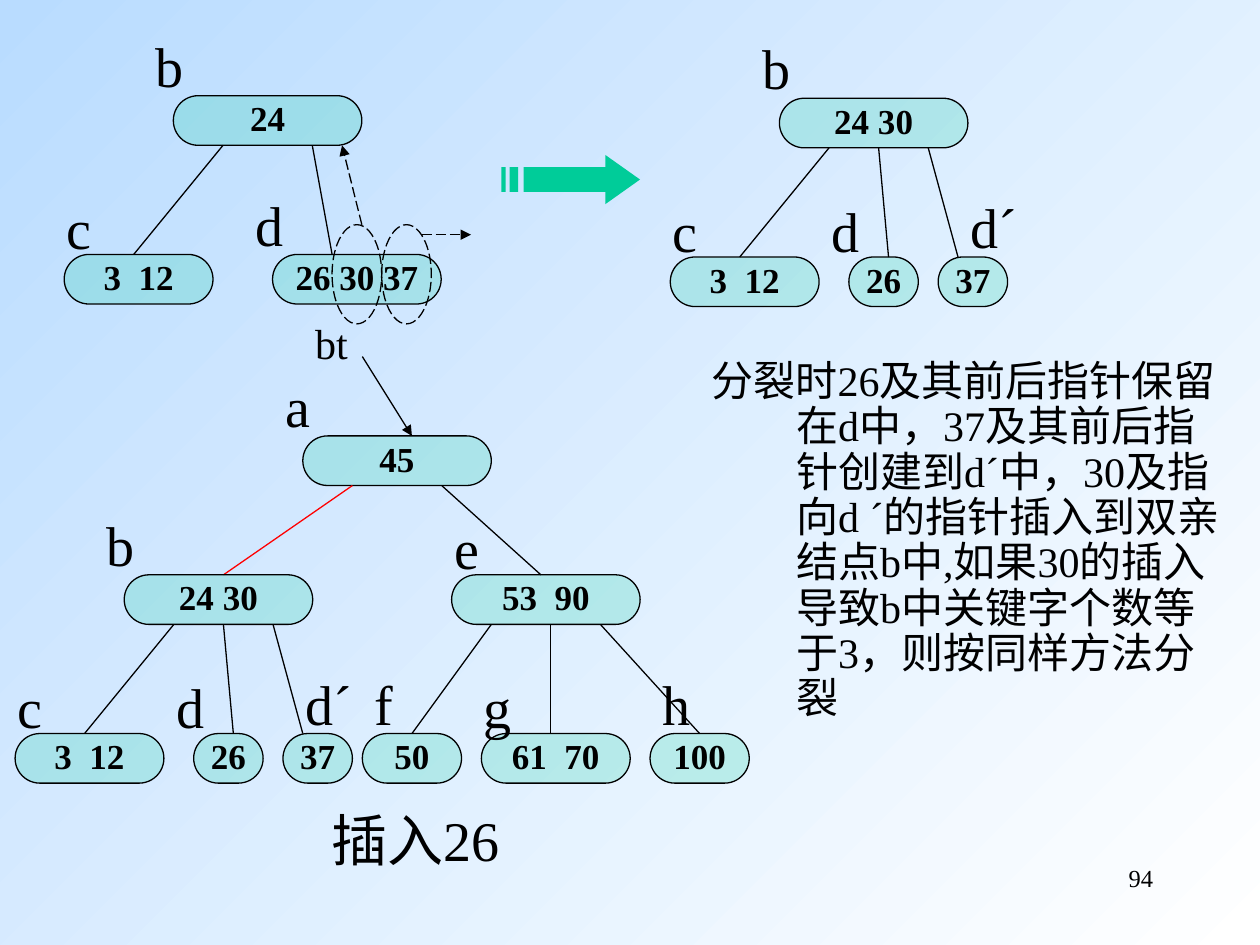
from dataclasses import dataclass
from typing import Any

from lxml.etree import SubElement
from pptx import Presentation
from pptx.dml.color import RGBColor
from pptx.enum.dml import MSO_LINE
from pptx.enum.shapes import MSO_CONNECTOR, MSO_SHAPE
from pptx.enum.text import MSO_ANCHOR, MSO_AUTO_SIZE, PP_ALIGN
from pptx.oxml.ns import qn
from pptx.util import Inches, Mm, Pt

COLORS = {"ink": "000000", "path": "FF0000", "node": "00CC99",
          "sky": "B9DCFF", "white": "FFFFFF"}
FONT = "Times New Roman"
CELL = Mm(2)  # every tree is laid out on a 2 mm grid
NODE_ROWS = 5
LEVEL = 16    # rows from a parent's top to its leaves' top
NEAR, HIGH = 6, 6.35  # rows from a label's top to its node's top


@dataclass
class Grid:
    """A 2 mm grid on a group of shapes, counted from a top left corner."""
    shapes: Any
    left: int
    top: int

    def at(self, col, row):
        return self.left + round(col * CELL), self.top + round(row * CELL)

    def sub(self, col, row):
        return Grid(self.shapes, *self.at(col, row))


def rgb(name):
    return RGBColor.from_string(COLORS[name])


def write(shape, text, size, align=PP_ALIGN.LEFT, bold=False):
    frame = shape.text_frame
    frame.text = text
    paragraph = frame.paragraphs[0]
    paragraph.alignment = align
    paragraph.line_spacing = 0.9
    font = paragraph.runs[0].font
    font.name, font.size, font.bold = FONT, Pt(size), bold
    font.color.rgb = rgb("ink")
    return paragraph


def add_text(shapes, box, text, size, align=PP_ALIGN.LEFT):
    holder = shapes.add_textbox(*box)
    holder.text_frame.word_wrap = True
    return write(holder, text, size, align)


def outline(line, color="ink", dashed=False):
    line.color.rgb = rgb(color)
    line.width = Pt(0.75)
    if dashed:
        line.dash_style = MSO_LINE.LONG_DASH


def add_node(grid, col, row, cols, keys):
    node = grid.shapes.add_shape(MSO_SHAPE.ROUNDED_RECTANGLE, *grid.at(col, row),
                                 cols * CELL, NODE_ROWS * CELL)
    node.adjustments[0] = 0.5
    node.shadow.inherit = False
    node.fill.solid()
    node.fill.fore_color.rgb = rgb("node")
    tint = node.fill._xPr.find(".//" + qn("a:srgbClr"))
    SubElement(tint, qn("a:alpha")).set("val", "20000")
    outline(node.line)
    node.text_frame.word_wrap = False
    node.text_frame.vertical_anchor = MSO_ANCHOR.MIDDLE
    write(node, keys, 20, PP_ALIGN.CENTER, bold=True)


def add_label(grid, col, row, name, cols=5, size=32):
    add_text(grid.shapes, (*grid.at(col, row), cols * CELL, Inches(size / 55)), name, size)


def add_edge(grid, start, end, color="ink", dashed=False, arrow=False):
    edge = grid.shapes.add_connector(MSO_CONNECTOR.STRAIGHT, *grid.at(*start), *grid.at(*end))
    outline(edge.line, color, dashed)
    if arrow:
        SubElement(edge.line._get_or_add_ln(), qn("a:tailEnd")).set("type", "triangle")
    SubElement(edge._element.spPr, qn("a:effectLst"))


def add_branches(grid, pairs, level=LEVEL):
    """Join a parent in the top row to its children, by (start, end) columns."""
    for start, end in pairs:
        add_edge(grid, (start, NODE_ROWS), (end, level))


def add_ring(grid, col, row):
    ring = grid.shapes.add_shape(MSO_SHAPE.OVAL, *grid.at(col, row), 5 * CELL, 10 * CELL)
    ring.shadow.inherit = False
    ring.fill.background()
    outline(ring.line, dashed=True)


def draw_overfull_tree(grid):
    """Node d holds three keys: 30 moves up to b and 37 moves out."""
    add_node(grid, 11, 0, 19, "24")
    add_node(grid, 0, LEVEL, 15, "3  12")
    add_node(grid, 21, LEVEL, 17, "26 30 37")
    add_label(grid, 8, -HIGH, "b")
    add_label(grid, -1, LEVEL - NEAR, "c")
    add_label(grid, 18, LEVEL - HIGH, "d")
    add_branches(grid, [(16, 7), (25, 27)])
    for col in (27, 32):
        add_ring(grid, col, LEVEL - 3)
    add_edge(grid, (30, LEVEL - 3), (28, NODE_ROWS), dashed=True, arrow=True)
    add_edge(grid, (36, LEVEL - 2), (41, LEVEL - 2), dashed=True, arrow=True)


def draw_split_tree(grid, prime_col):
    """Node b over c, d and d´, once d has been split."""
    add_node(grid, 11, 0, 19, "24 30")
    for col, cols, keys in [(0, 15, "3  12"), (18, 7, "26"), (27, 7, "37")]:
        add_node(grid, col, LEVEL, cols, keys)
    add_label(grid, 8, -HIGH, "b")
    add_label(grid, -1, LEVEL - NEAR, "c")
    add_label(grid, 15, LEVEL - NEAR, "d")
    add_label(grid, prime_col, LEVEL - HIGH, "d´", cols=10)
    add_branches(grid, [(16, 7), (21, 22), (26, 29)])


def draw_right_subtree(grid):
    """Node e over f, g and h."""
    add_node(grid, 9, 0, 19, "53  90")
    add_label(grid, 8, -NEAR, "e")
    for col, cols, keys, label_col, lift, name in [
            (0, 10, "50", 0, HIGH, "f"),
            (12, 15, "61  70", 11, NEAR, "g"),
            (29, 10, "100", 29, HIGH, "h")]:
        add_node(grid, col, LEVEL, cols, keys)
        add_label(grid, label_col, LEVEL - lift, name)
    add_branches(grid, [(13, 5), (19, 19), (24, 34)])


def draw_whole_tree(grid):
    inner = 14  # row of the nodes under the root
    add_node(grid, 29, 0, 19, "45")
    add_label(grid, 26, -HIGH, "a")
    add_label(grid, 29, -12, "bt", cols=8, size=24)
    add_edge(grid, (35, -8), (40, 0), arrow=True)
    add_edge(grid, (34, NODE_ROWS), (21, inner), color="path")
    add_branches(grid, [(43, 53)], inner)
    draw_split_tree(grid.sub(0, inner), prime_col=28)
    draw_right_subtree(grid.sub(35, inner))


def draw_step_arrow(shapes, left, top, width, height):
    def place(points):
        return [(left + round(x * width), top + round(y * height)) for x, y in points]

    def bar(start, end):
        return place([(start, 0.25), (start, 0.75), (end, 0.75), (end, 0.25)])

    head = place([(0.75, 0), (0.75, 0.25), (0.16, 0.25), (0.16, 0.75),
                  (0.75, 0.75), (0.75, 1), (1, 0.5)])
    builder = shapes.build_freeform(*head[0])
    builder.add_line_segments(head[1:], close=True)
    for stripe in (bar(0.06, 0.12), bar(0, 0.03)):
        builder.move_to(*stripe[0])
        builder.add_line_segments(stripe[1:], close=True)
    arrow = builder.convert_to_shape()
    arrow.shadow.inherit = False
    arrow.fill.solid()
    arrow.fill.fore_color.rgb = rgb("node")
    arrow.line.fill.background()


def draw_explanation(shapes, box):
    paragraph = add_text(shapes, box, "分裂时26及其前后指针保留在d中，37及其前后指针创建到d´中，"
                         "30及指向d ´的指针插入到双亲结点b中,如果30的插入导致b中"
                         "关键字个数等于3，则按同样方法分裂", 24)
    hang = Inches(0.67)
    properties = paragraph._p.get_or_add_pPr()
    properties.set("marL", str(hang))
    properties.set("indent", str(-hang))


def paint_background(slide):
    fill = slide.background.fill
    fill.gradient()
    fill.gradient_angle = 315
    for stop, name in zip(fill.gradient_stops, ("sky", "white")):
        stop.color.rgb = rgb(name)


def main():
    deck = Presentation()
    deck.slide_width, deck.slide_height = Inches(10), Inches(7.5)
    slide = deck.slides.add_slide(deck.slide_layouts[6])
    shapes = slide.shapes
    paint_background(slide)

    def tree_grid(left, top):
        return Grid(shapes.add_group_shape().shapes, Inches(left), Inches(top))

    def inches(*lengths):
        return [Inches(length) for length in lengths]

    add_text(shapes, inches(7.17, 6.83, 2.08, 0.5), "94", 14, PP_ALIGN.RIGHT)
    add_text(shapes, inches(1.45, 6.4, 3.7, 0.58), "插入26", 32, PP_ALIGN.CENTER)
    draw_whole_tree(tree_grid(0.12, 3.46))
    draw_overfull_tree(tree_grid(0.51, 0.76))
    draw_step_arrow(shapes, *inches(3.98, 1.23, 1.1, 0.39))
    draw_explanation(shapes, inches(5.55, 2.81, 4.25, 2.98))
    draw_split_tree(tree_grid(5.32, 0.78), prime_col=29)
    deck.save("out.pptx")


if __name__ == "__main__":
    main()
